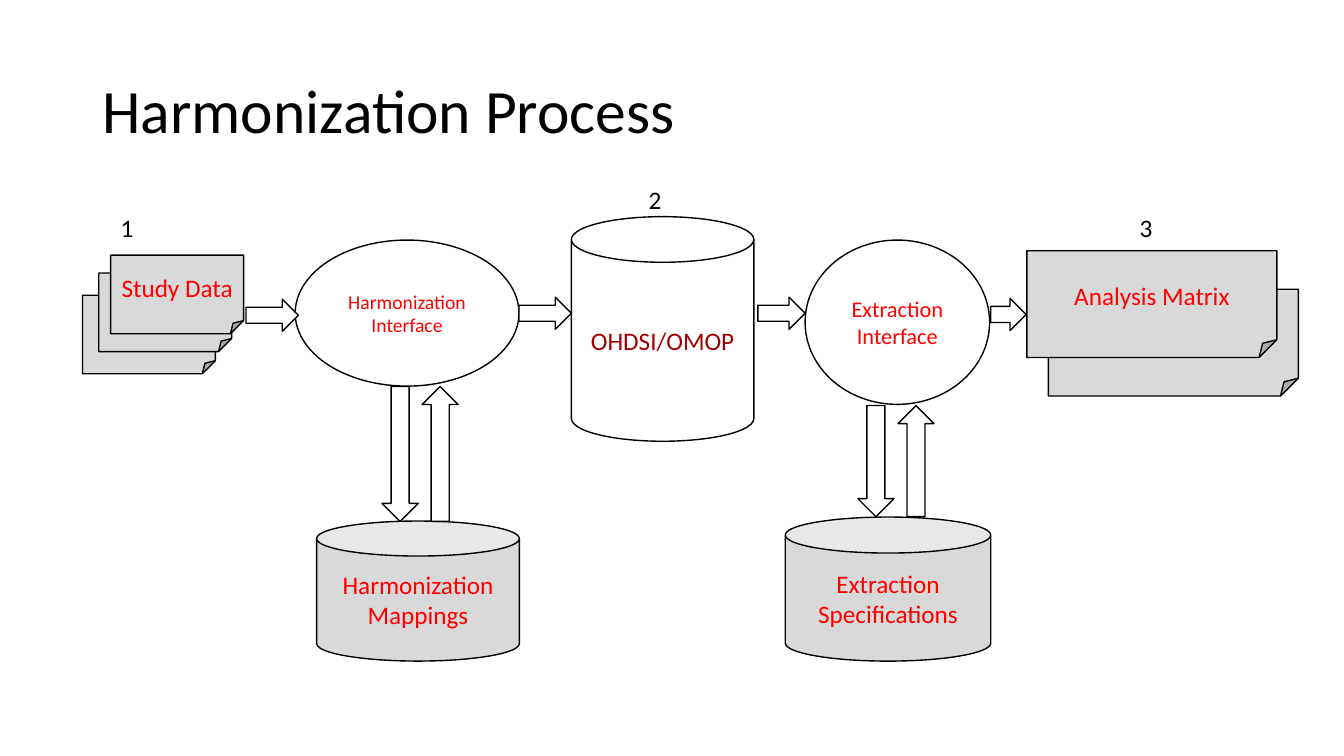
import pptx
import pptx.dml.color
import pptx.enum.shapes
import pptx.enum.text
import pptx.oxml.ns
import pptx.util

Cm = pptx.util.Cm
Pt = pptx.util.Pt
SHAPE = pptx.enum.shapes.MSO_SHAPE
ALIGN = pptx.enum.text.PP_ALIGN
ANCHOR = pptx.enum.text.MSO_ANCHOR
AUTO_SIZE = pptx.enum.text.MSO_AUTO_SIZE

# Content: lengths in centimetres
TITLE = "Harmonization Process"
BLACK, WHITE, GREY, RED, DARK_RED = "000000", "FFFFFF", "D9D9D9", "FF0000", "A00000"

# Stacks of sheets: label, sheet size, corners from back to front
STACKS = [
    ("Analysis Matrix", (6.3, 2.69), [(26.42, 7.29), (25.88, 6.32)]),
    ("Study Data", (3.35, 1.98), [(2.08, 7.44), (2.49, 6.88), (2.79, 6.43)]),
]
# Stores and interfaces: preset, label, box, fill, text size, text colour
NODES = [
    (SHAPE.CAN, "Harmonization Mappings", (7.98, 13.13, 5.11, 3.53), GREY, 18, RED),
    (SHAPE.CAN, "OHDSI/OMOP", (14.4, 5.46, 4.6, 5.66), WHITE, 18, DARK_RED),
    (SHAPE.CAN, "Extraction Specifications", (19.79, 13.03, 5.18, 3.63), GREY, 18, RED),
    (SHAPE.OVAL, "Extraction Interface", (20.29, 6.05, 4.65, 4.14), WHITE, 16, RED),
    (SHAPE.OVAL, "Harmonization Interface", (7.44, 6.05, 5.64, 3.68), WHITE, 14, RED),
]
# Flow arrows: left, top, width
FLOW_ARROWS = [(6.2, 7.54, 1.32), (13.08, 7.49, 1.32), (19.1, 7.49, 1.19), (24.97, 7.52, 0.89)]
# Exchange arrow pairs: left of the down arrow, top, height
EXCHANGES = [(9.63, 9.74, 3.4), (21.62, 10.22, 2.8)]
ARROW_HEIGHT, EXCHANGE_WIDTH, EXCHANGE_STEP = 0.81, 0.91, 1.01
STEP_NUMBERS = [("1", 2.79, 5.23), ("2", 16.1, 4.52), ("3", 28.47, 5.23)]


def colour(value):
    return pptx.dml.color.RGBColor.from_string(value)


def style_text(shape, text, size, text_colour, align, anchor=ANCHOR.MIDDLE):
    frame = shape.text_frame
    frame.text = text
    frame.vertical_anchor = anchor
    paragraph = frame.paragraphs[0]
    paragraph.alignment = align
    paragraph.font.name = "Calibri"
    paragraph.font.size = Pt(size)
    paragraph.font.color.rgb = colour(text_colour)
    return paragraph


def add_shape(preset, box, fill=WHITE, text="", size=18, text_colour=RED):
    shape = slide.shapes.add_shape(preset, *map(Cm, box))
    shape.shadow.inherit = False
    shape.fill.solid()
    shape.fill.fore_color.rgb = colour(fill)
    shape.line.color.rgb = colour(BLACK)
    shape.line.width = Pt(1)
    if text:
        style_text(shape, text, size, text_colour, ALIGN.CENTER)
        shape.text_frame.word_wrap = True
        shape.text_frame.margin_left = shape.text_frame.margin_right = Cm(0.2)


presentation = pptx.Presentation()
presentation.slide_width, presentation.slide_height = Cm(33.87), Cm(19.05)
slide = presentation.slides.add_slide(presentation.slide_layouts[5])

# Title
title = slide.shapes.title
title.left, title.top, title.width, title.height = map(Cm, (2.33, 1.01, 29.21, 3.68))
title_paragraph = style_text(title, TITLE, 44, BLACK, ALIGN.LEFT)
title_paragraph.line_spacing = 0.9
title.text_frame.auto_size = AUTO_SIZE.NONE

# Sheets: only the front one carries the label
for label, sheet_size, corners in STACKS:
    for corner in corners:
        text = label if corner == corners[-1] else ""
        add_shape(SHAPE.FOLDED_CORNER, corner + sheet_size, GREY, text)

# Stores and interfaces
for preset, label, box, fill, size, text_colour in NODES:
    add_shape(preset, box, fill, label, size, text_colour)

# Arrows
for left, top, width in FLOW_ARROWS:
    add_shape(SHAPE.RIGHT_ARROW, (left, top, width, ARROW_HEIGHT))
for left, top, height in EXCHANGES:
    for index, preset in enumerate((SHAPE.DOWN_ARROW, SHAPE.UP_ARROW)):
        add_shape(preset, (left + index * EXCHANGE_STEP, top, EXCHANGE_WIDTH, height))

# Step numbers
for number, left, top in STEP_NUMBERS:
    number_box = slide.shapes.add_textbox(Cm(left), Cm(top), Cm(0.84), Cm(1.02))
    style_text(number_box, number, 18, BLACK, ALIGN.LEFT, ANCHOR.TOP)

presentation.save("out.pptx")
